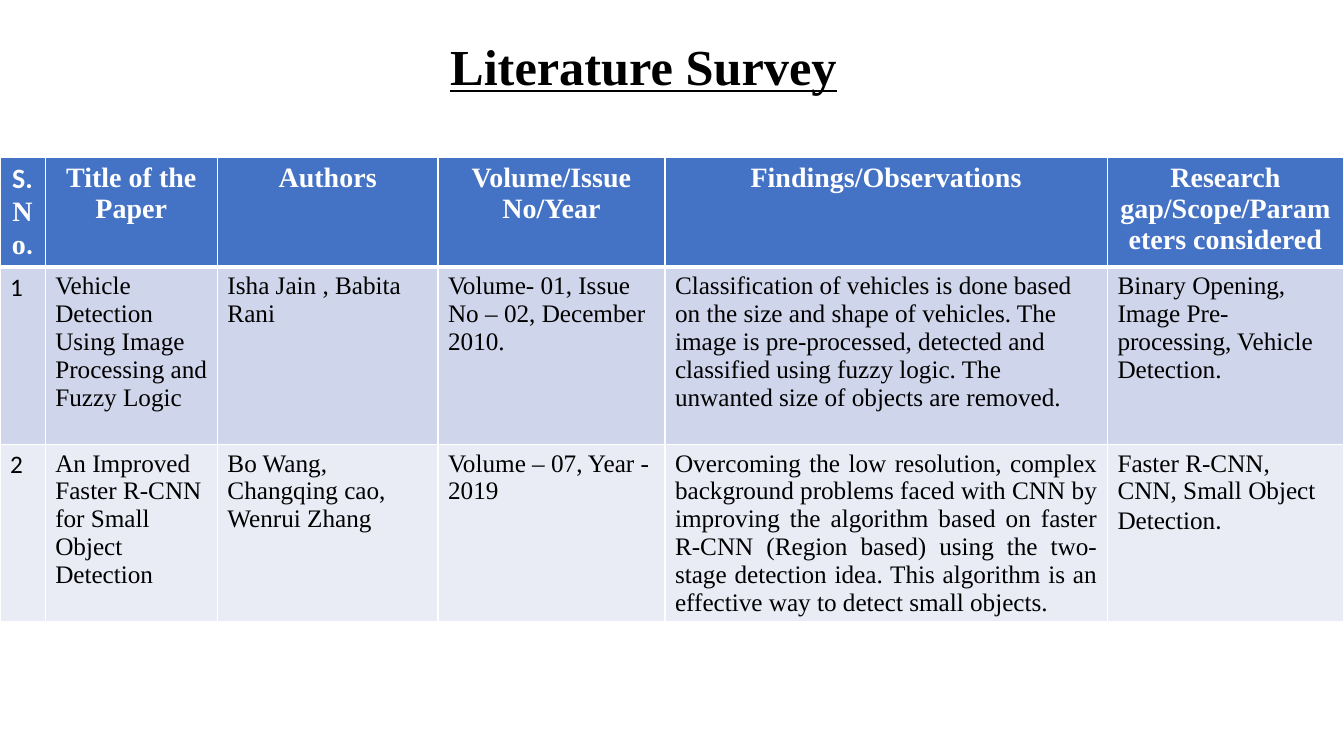
from dataclasses import dataclass

from lxml.etree import SubElement
from pptx import Presentation
from pptx.dml.color import RGBColor
from pptx.enum.text import MSO_AUTO_SIZE, PP_ALIGN
from pptx.oxml.ns import qn
from pptx.util import Cm, Pt

SERIF, SANS = "Times New Roman", "Calibri"
COLUMN_WIDTHS = (1.14, 4.34, 5.56, 5.72, 11.15, 5.95)


@dataclass(frozen=True)
class Run:
    """A piece of text in one font."""
    text: str
    font: str = SERIF


@dataclass(frozen=True)
class Entry:
    """The content of one table cell."""
    runs: tuple[Run, ...]
    align: PP_ALIGN = PP_ALIGN.LEFT


@dataclass(frozen=True)
class Row:
    """A table row with its look and its entries."""
    height: float
    fill: str
    color: str
    size: int
    bold: bool
    top: int
    bottom: int
    entries: tuple[Entry, ...]


def entry(*parts: str | Run, align: PP_ALIGN = PP_ALIGN.LEFT) -> Entry:
    """Make an entry from plain strings and runs."""
    return Entry(tuple(p if isinstance(p, Run) else Run(p) for p in parts), align)


def header(*parts: str | Run) -> Entry:
    """Make a centred entry."""
    return entry(*parts, align=PP_ALIGN.CENTER)


ROWS = (
    Row(2.77, "4472C4", "FFFFFF", 20, True, 1, 3, (
        header(Run("S.", SANS), "No", Run(".", SANS)),
        header("Title of the Paper"),
        header("Authors"),
        header("Volume/Issue No/Year"),
        header("Findings/Observations"),
        header("Research gap/Scope/Parameters considered"),
    )),
    Row(4.47, "CFD5EA", "000000", 18, False, 3, 1, (
        entry(Run("1", SANS)),
        entry("Vehicle Detection Using Image Processing and Fuzzy Logic"),
        entry("Isha Jain , Babita Rani"),
        entry("Volume- 01, Issue No – 02, December 2010."),
        entry("Classification of vehicles is done based on the size and shape of "
              "vehicles. The image is pre-processed, detected and classified using "
              "fuzzy logic. The unwanted size of objects are removed."),
        entry("Binary Opening, Image Pre-processing, Vehicle Detection."),
    )),
    Row(4.47, "E9EBF5", "000000", 18, False, 1, 1, (
        entry(Run("2", SANS)),
        entry("An Improved Faster R-CNN for Small Object Detection"),
        entry("Bo Wang, Changqing cao, Wenrui Zhang"),
        entry("Volume – 07, Year - 2019"),
        entry("Overcoming the low resolution, complex background problems faced with "
              "CNN by improving the algorithm based on faster R-CNN (Region based) "
              "using the two-stage detection idea. This algorithm is an effective way "
              "to detect small objects.", align=PP_ALIGN.JUSTIFY),
        entry("Faster R-CNN, CNN, Small Object Detection", Run(".", SANS)),
    )),
)


def rgb(color: str) -> RGBColor:
    """Turn a hex string into a colour."""
    return RGBColor.from_string(color)


def write(tf, content: Entry, color: str, **fmt) -> None:
    """Write an entry into the first paragraph of a text frame."""
    p = tf.paragraphs[0]
    p.alignment = content.align
    for run in content.runs:
        r = p.add_run()
        r.text = run.text
        r.font.color.rgb = rgb(color)
        for name, value in {"name": run.font, **fmt}.items():
            setattr(r.font, name, value)


def add_borders(cell, widths: dict[str, int], color: str) -> None:
    """Add border lines of the given point widths to a cell."""
    tc_pr = cell._tc.get_or_add_tcPr()
    for side, width in widths.items():
        ln = SubElement(tc_pr, qn(f"a:ln{side}"), w=str(Pt(width)))
        fill = SubElement(ln, qn("a:solidFill"))
        SubElement(fill, qn("a:srgbClr"), val=color)


def add_title(slide, text: str) -> None:
    """Add the underlined slide title."""
    sp = slide.shapes.add_textbox(Cm(9.5), Cm(0.76), Cm(13.44), Cm(1.8))
    tf = sp.text_frame
    tf.word_wrap = True
    tf.auto_size = MSO_AUTO_SIZE.SHAPE_TO_FIT_TEXT
    write(tf, header(text), "000000", size=Pt(36), bold=True, underline=True)


def add_survey(slide) -> None:
    """Add the table of surveyed papers."""
    frame = slide.shapes.add_table(
        len(ROWS), len(COLUMN_WIDTHS), Cm(0), Cm(3.96),
        Cm(sum(COLUMN_WIDTHS)), Cm(sum(row.height for row in ROWS)))
    table = frame.table
    for column, width in zip(table.columns, COLUMN_WIDTHS):
        column.width = Cm(width)
    for table_row, row in zip(table.rows, ROWS):
        table_row.height = Cm(row.height)
        for cell, content in zip(table_row.cells, row.entries):
            add_borders(cell, {"L": 1, "R": 1, "T": row.top, "B": row.bottom}, "FFFFFF")
            cell.fill.solid()
            cell.fill.fore_color.rgb = rgb(row.fill)
            write(cell.text_frame, content, row.color, size=Pt(row.size), bold=row.bold)


def main() -> None:
    """Build and save the literature survey slide."""
    prs = Presentation()
    prs.slide_width, prs.slide_height = Cm(33.87), Cm(19.05)
    slide = prs.slides.add_slide(prs.slide_layouts[6])
    add_survey(slide)
    add_title(slide, "Literature Survey")
    prs.save("out.pptx")


if __name__ == "__main__":
    main()
